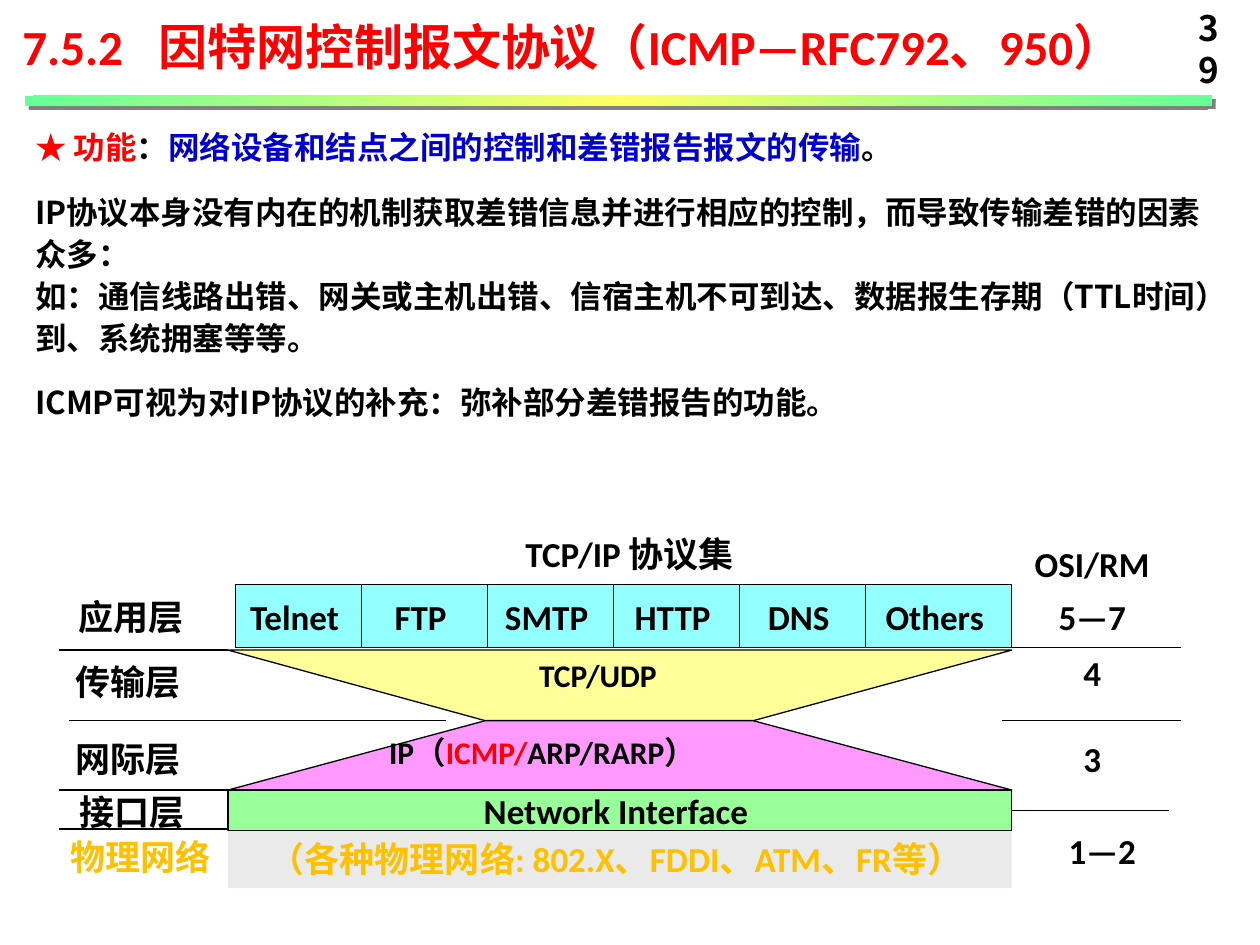
"""Build the slide on ICMP and its place in the TCP/IP protocol suite."""
from dataclasses import dataclass
from typing import Optional

import lxml.etree
import pptx
import pptx.dml.color
import pptx.enum.shapes
import pptx.enum.text
import pptx.oxml.ns
import pptx.util
from pptx.util import Inches

qn = pptx.oxml.ns.qn
ALIGN = pptx.enum.text.PP_ALIGN
ANCHOR = pptx.enum.text.MSO_ANCHOR
RECTANGLE = pptx.enum.shapes.MSO_SHAPE.RECTANGLE


@dataclass(frozen=True)
class Theme:
    latin: str = "Calibri"
    asian: str = "Noto Sans CJK SC"
    black: str = "000000"
    red: str = "FF0000"
    blue: str = "0000CC"
    amber: str = "FFC000"
    cyan: str = "93FFFF"
    yellow: str = "FFFF99"
    pink: str = "FF99FF"
    green: str = "99FF99"
    gray: str = "EAEAEA"
    shadow: str = "808080"
    bar: tuple = ((0, "66FF99"), (50, "FFFF66"), (100, "66FF99"))
    title_size: int = 28
    label_size: int = 20
    body_size: int = 18
    line_width: float = 0.75


THEME = Theme()


@dataclass(frozen=True)
class Span:
    text: str
    color: str = THEME.black


@dataclass(frozen=True)
class Label:
    text: str
    left: float
    top: float
    width: float = 1
    height: float = 0.5
    color: str = THEME.black
    fill: Optional[str] = None
    outlined: bool = True


@dataclass(frozen=True)
class BodyLine:
    spans: tuple
    pitch: float = 24
    before: float = 0


@dataclass(frozen=True)
class Rule:
    start: float
    end: float
    height: float


def rgb(value: str) -> pptx.dml.color.RGBColor:
    return pptx.dml.color.RGBColor.from_string(value)


def add_spans(para, spans, size: int, font_name: str = THEME.latin) -> None:
    for item in spans:
        span = para.add_run()
        span.text = item.text
        span.font.name = font_name
        span.font.size = pptx.util.Pt(size)
        span.font.bold = True
        span.font.color.rgb = rgb(item.color)
        asian = lxml.etree.Element(qn("a:ea"), typeface=THEME.asian)
        span.font._element.find(qn("a:latin")).addnext(asian)


def add_text_box(page, left: float, top: float, width: float, height: float, wrap: bool = False):
    box = page.shapes.add_textbox(Inches(left), Inches(top), Inches(width), Inches(height))
    box.text_frame.word_wrap = wrap
    return box


def paint(shape, fill: str, outlined: bool = True) -> None:
    shape.shadow.inherit = False
    shape.fill.solid()
    shape.fill.fore_color.rgb = rgb(fill)
    if outlined:
        shape.line.color.rgb = rgb(THEME.black)
        shape.line.width = pptx.util.Pt(THEME.line_width)
    else:
        shape.line.fill.background()


def add_label(page, label: Label):
    place = (label.left, label.top, label.width, label.height)
    if label.fill:
        box = page.shapes.add_shape(RECTANGLE, *map(Inches, place))
        paint(box, label.fill, label.outlined)
        box.text_frame.word_wrap = False
    else:
        box = add_text_box(page, *place)
    frame = box.text_frame
    frame.margin_left = frame.margin_right = 0
    frame.vertical_anchor = ANCHOR.MIDDLE
    para = frame.paragraphs[0]
    para.alignment = ALIGN.CENTER
    add_spans(para, [Span(label.text + " ", label.color)], THEME.label_size)
    return box


def add_funnel(page, points, fill: str) -> None:
    first, *others = [(Inches(x), Inches(y)) for x, y in points]
    builder = page.shapes.build_freeform(*first)
    builder.add_line_segments(others, close=True)
    paint(builder.convert_to_shape(), fill)


def add_rule(page, rule: Rule):
    line = page.shapes.add_connector(
        pptx.enum.shapes.MSO_CONNECTOR.STRAIGHT,
        Inches(rule.start), Inches(rule.height), Inches(rule.end), Inches(rule.height))
    line.line.color.rgb = rgb(THEME.black)
    line.line.width = pptx.util.Pt(THEME.line_width)
    lxml.etree.SubElement(line._element.spPr, qn("a:effectLst"))
    return line


def add_color(parent, value: str) -> None:
    lxml.etree.SubElement(parent, qn("a:srgbClr"), val=value)


def add_title_bar(page) -> None:
    bar = page.shapes.add_shape(RECTANGLE, Inches(0.2), Inches(0.76), Inches(9.42), Inches(0.08))
    bar.line.fill.background()
    bar.fill.gradient()
    bar.fill.gradient_angle = 315
    properties = bar._element.spPr
    stops = properties.find(".//" + qn("a:gsLst"))
    stops.clear()
    for position, color in THEME.bar:
        add_color(lxml.etree.SubElement(stops, qn("a:gs"), pos=str(position * 1000)), color)
    bar.shadow.inherit = False
    shadow = lxml.etree.SubElement(
        properties.find(qn("a:effectLst")), qn("a:outerShdw"),
        dist=str(int(pptx.util.Pt(2.8))), dir=str(45 * 60000), algn="ctr", rotWithShape="0")
    add_color(shadow, THEME.shadow)


def add_heading(page) -> None:
    para = add_text_box(page, 0.08, 0.08, 9.35, 0.57).text_frame.paragraphs[0]
    tabs = lxml.etree.SubElement(para._p.get_or_add_pPr(), qn("a:tabLst"))
    lxml.etree.SubElement(tabs, qn("a:tab"), pos=str(int(Inches(1.08))), algn="l")
    add_spans(para, [Span("7.5.2\t因特网控制报文协议（ICMP—RFC792、950）", THEME.red)], THEME.title_size)
    add_title_bar(page)
    number = add_text_box(page, 9.41, 0, 0.49, 0.44, wrap=True).text_frame.paragraphs[0]
    number.line_spacing = pptx.util.Pt(24)
    add_spans(number, [Span("39")], THEME.label_size, THEME.asian)


def add_body(page) -> None:
    lines = (
        BodyLine((Span("★ 功能", THEME.red), Span("："),
                  Span("网络设备和结点之间的控制和差错报告报文的传输", THEME.blue), Span("。")), pitch=28),
        BodyLine((Span("IP协议本身没有内在的机制获取差错信息并进行相应的控制，而导致传输差错的因素众多："),), before=13),
        BodyLine((Span("如：通信线路出错、网关或主机出错、信宿主机不可到达、"
                       "数据报生存期（TTL时间）到、系统拥塞等等。"),)),
        BodyLine((Span("ICMP可视为对IP协议的补充：弥补部分差错报告的功能。"),), before=12.5),
    )
    frame = add_text_box(page, 0.18, 0.88, 9.67, 3.18, wrap=True).text_frame
    for index, line in enumerate(lines):
        para = frame.add_paragraph() if index else frame.paragraphs[0]
        para.line_spacing = pptx.util.Pt(line.pitch)
        if line.before:
            para.space_before = pptx.util.Pt(line.before)
        add_spans(para, line.spans, THEME.body_size, THEME.asian)


def add_protocol_stack(page) -> None:
    left, right, waist_left, waist_right = 1.81, 8.03, 3.85, 5.98
    top, waist, bottom, floor = 5.16, 5.72, 6.27, 6.58
    for edge, fill in ((top, THEME.yellow), (bottom, THEME.pink)):
        add_funnel(page, ((left, edge), (right, edge), (waist_right, waist), (waist_left, waist)), fill)
    for place, spans in (
        ((4.18, 5.16, 1.73, 0.5), [Span("TCP/UDP")]),
        ((2.99, 5.77, 3.97, 0.5), [Span("IP（"), Span("ICMP/", THEME.red), Span("ARP/RARP）")]),
    ):
        add_spans(add_text_box(page, *place).text_frame.paragraphs[0], spans, THEME.body_size)
    for column, name in enumerate(("Telnet", "FTP", "SMTP", "HTTP", "DNS", "Others")):
        width = 1.16 if name == "Others" else 1
        add_label(page, Label(name, 1.87 + column, 4.64, width, fill=THEME.cyan))
    add_label(page, Label("（各种物理网络: 802.X、FDDI、ATM、FR等）", left, floor, right - left, 0.47,
                          THEME.amber, THEME.gray, outlined=False))
    interface = add_label(page, Label("Network Interface", left, bottom, right - left, 0.32, fill=THEME.green))
    for label in (
        Label("TCP/IP 协议集", 4.03, 4.14, 2), Label("OSI/RM", 8.1, 4.22, 1.2),
        Label("应用层", 0.47, 4.64, 1.2), Label("5—7", 8.2, 4.64),
        Label("传输层", 0.45, 5.16, 1.2), Label("4", 8.2, 5.09),
        Label("网际层", 0.45, 5.77, 1.2), Label("3", 8.2, 5.77),
        Label("接口层", 0.48, 6.19, 1.2), Label("1—2", 8.28, 6.5),
        Label("物理网络", 0.5, 6.55, 1.3, color=THEME.amber),
    ):
        add_label(page, label)
    for rule in (Rule(0.47, left, top), Rule(0.55, 3.54, waist), Rule(0.47, left, bottom),
                 Rule(0.47, left, floor), Rule(7.95, 9.37, 5.14), Rule(7.95, 9.37, waist)):
        add_rule(page, rule)
    add_rule(page, Rule(right, 9.28, 6.43)).begin_connect(interface, 3)


def main() -> None:
    deck = pptx.Presentation()
    deck.slide_width, deck.slide_height = Inches(10), Inches(7.5)
    page = deck.slides.add_slide(deck.slide_layouts[6])
    add_heading(page)
    add_body(page)
    add_protocol_stack(page)
    deck.save("out.pptx")


if __name__ == "__main__":
    main()
